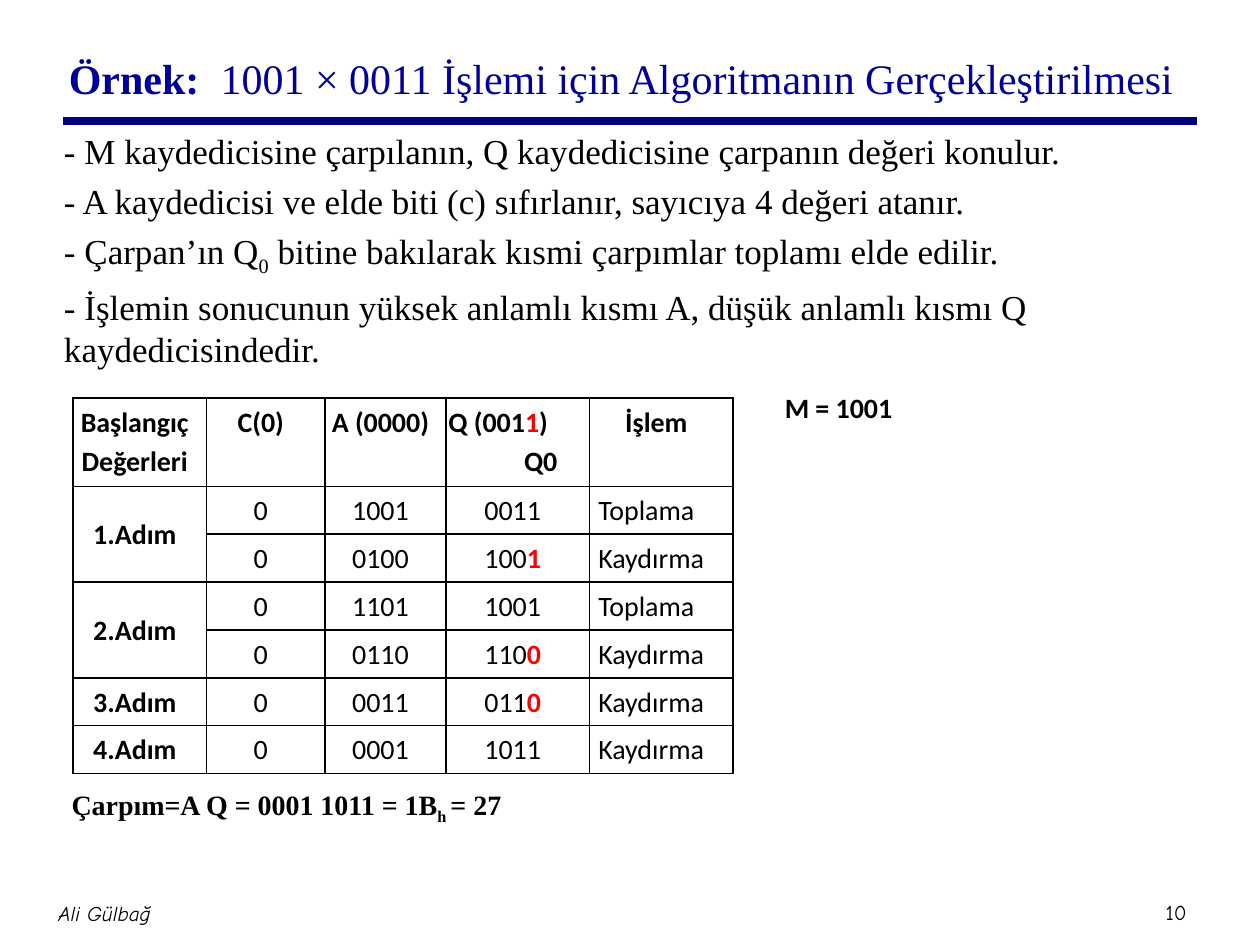
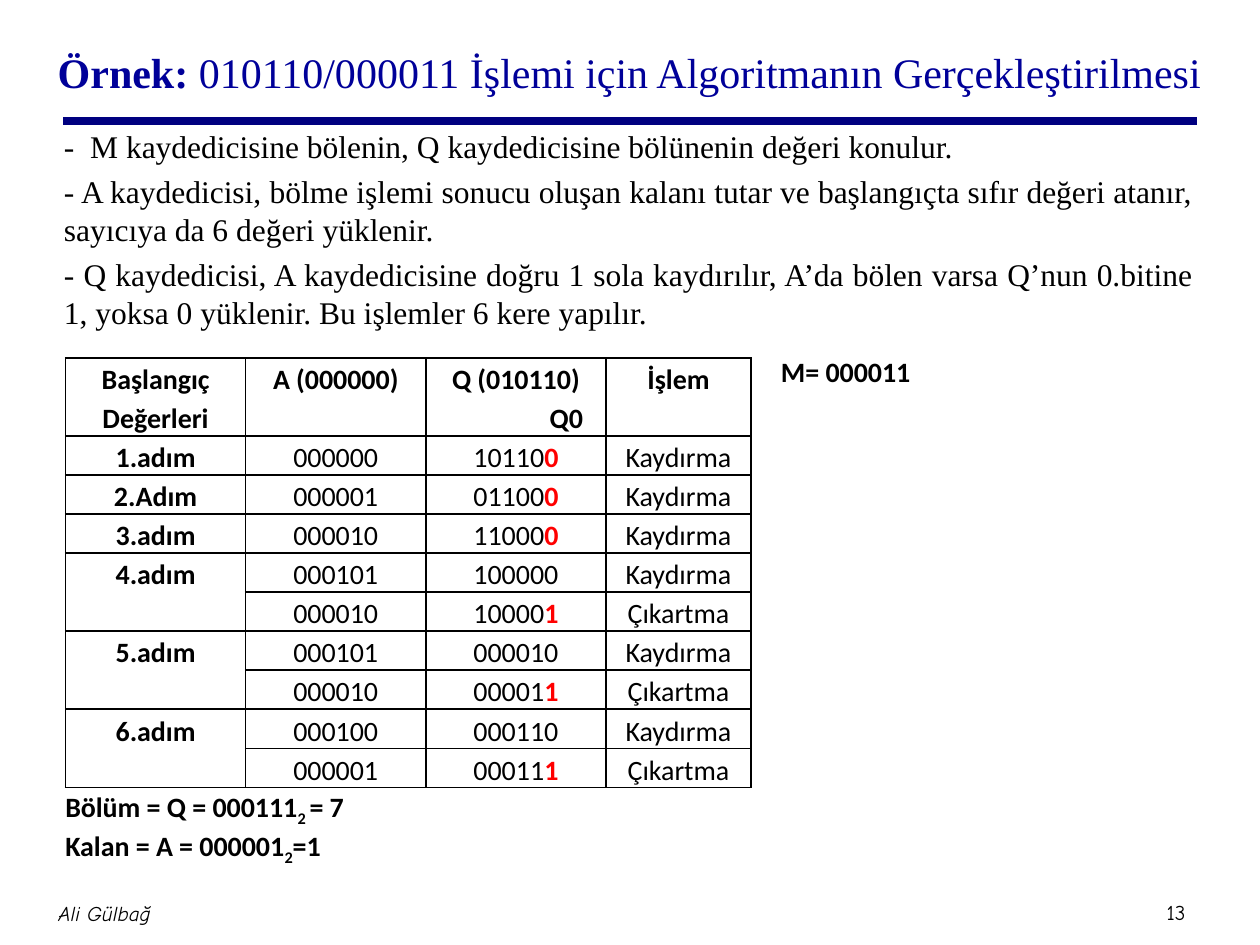
"""Two lecture slides: worked binary multiplication and division examples."""
from dataclasses import dataclass

from pptx import Presentation
from pptx.dml.color import RGBColor
from pptx.enum import shapes, text
from pptx.oxml import parse_xml
from pptx.oxml.ns import nsdecls
from pptx.util import Inches, Pt


@dataclass(frozen=True)
class Theme:
    """Colours, fonts and type sizes shared by the slides."""
    title_color: str = "000099"
    rule_color: str = "000080"
    ink: str = "000000"
    mark: str = "FF0000"
    serif: str = "Times New Roman"
    sans: str = "Calibri"
    footer_font: str = "Comic Neue"
    title_size: int = 24
    table_size: int = 16
    footer_size: int = 12
    rule_width: float = 4.5


THEME = Theme()
LEFT, CENTER, JUSTIFY = (text.PP_ALIGN.LEFT, text.PP_ALIGN.CENTER,
                         text.PP_ALIGN.JUSTIFY)
TOP, MIDDLE = text.MSO_ANCHOR.TOP, text.MSO_ANCHOR.MIDDLE


def write_para(para, content, font, size, color=THEME.ink, mark=None,
               bold=False, italic=False, align=LEFT):
    """Fill a paragraph; *stars* make bold marked spans, _bars_ subscripts."""
    para.alignment = align
    for i, part in enumerate(content.split("*")):
        for j, piece in enumerate(part.split("_")):
            if not piece:
                continue
            span = para.add_run()
            span.text = piece
            if i % 2:
                span.font.bold = True
                span.font.color.rgb = RGBColor.from_string(mark or color)
            if j % 2:
                span._r.get_or_add_rPr().set("baseline", "-25000")
    para.font.name = font
    para.font.size = Pt(size)
    para.font.bold = bold
    para.font.italic = italic
    para.font.color.rgb = RGBColor.from_string(color)


def add_text(page, place, lines, font, size, anchor=TOP, inset=0.1,
             space_before=0, **style):
    """Add a text box at place (left, top, width, height), a paragraph a line."""
    box = page.shapes.add_textbox(*map(Inches, place))
    frame = box.text_frame
    frame.word_wrap = True
    frame.vertical_anchor = anchor
    frame.margin_left = frame.margin_right = Inches(inset)
    for i, line in enumerate(lines):
        para = frame.add_paragraph() if i else frame.paragraphs[0]
        para.space_before = Pt(space_before)
        write_para(para, line, font, size, **style)


def add_frame(page, number):
    """Draw the rule under the title and the footer."""
    rule = page.shapes.add_connector(
        shapes.MSO_CONNECTOR.STRAIGHT,
        Inches(0.5), Inches(0.96), Inches(9.5), Inches(0.96))
    rule.line.color.rgb = RGBColor.from_string(THEME.rule_color)
    rule.line.width = Pt(THEME.rule_width)
    rule._element.spPr.append(parse_xml(f"<a:effectLst {nsdecls('a')}/>"))
    footer = dict(font=THEME.footer_font, size=THEME.footer_size,
                  anchor=MIDDLE, inset=0.05, align=CENTER)
    add_text(page, (9.1, 7.09, 0.47, 0.3), [str(number)], **footer)
    add_text(page, (-0.96, 7, 3.58, 0.5), ["Ali Gülbağ"], italic=True, **footer)


def add_title(page, place, title, align):
    """Write the slide title."""
    add_text(page, place, [title], THEME.serif, THEME.title_size, MIDDLE,
             color=THEME.title_color, align=align)


def add_body(page, place, lines, size, align=LEFT):
    """Write the explanation above the table."""
    add_text(page, place, lines, THEME.serif, size, align=align,
             space_before=round(0.23 * size, 1))


def add_label(page, place, lines, font=THEME.sans, anchor=TOP):
    """Write a bold note beside or below the table."""
    add_text(page, place, lines, font, THEME.table_size, anchor, bold=True)


def set_borders(cell):
    """Give a cell thin lines on all four sides and no fill."""
    props = cell._tc.get_or_add_tcPr()
    for side in ("lnL", "lnR", "lnT", "lnB"):
        props.append(parse_xml(
            f'<a:{side} {nsdecls("a")} w="{Pt(1)}"><a:solidFill>'
            f'<a:srgbClr val="{THEME.ink}"/></a:solidFill></a:{side}>'))
    cell.fill.background()


def write_cell(cell, content, margins, bold, align):
    """Write the lines of one cell with its margins."""
    (cell.margin_left, cell.margin_top,
     cell.margin_right, cell.margin_bottom) = map(Inches, margins)
    for i, line in enumerate(content.split("\n")):
        frame = cell.text_frame
        para = frame.add_paragraph() if i else frame.paragraphs[0]
        para.line_spacing = 1.15
        write_para(para, line, THEME.sans, THEME.table_size,
                   mark=THEME.mark, bold=bold, align=align)


def add_steps(page, origin, widths, heights, rows, margins,
              span_anchor, operation_align, q_align, q0_indent):
    """Add the register table; a row with an empty first cell joins the one above."""
    head_height, row_height = heights
    total = head_height + row_height * (len(rows) - 1)
    table = page.shapes.add_table(
        len(rows), len(widths), *map(Inches, (*origin, sum(widths), total))).table
    table.first_row = table.horz_banding = False
    for column, width in zip(table.columns, widths):
        column.width = Inches(width)
    q_column, last = len(widths) - 2, len(widths) - 1
    for r, row in enumerate(rows):
        table.rows[r].height = Inches(row_height if r else head_height)
        for c, content in enumerate(row):
            cell = table.cell(r, c)
            set_borders(cell)
            align = CENTER
            if r and c == last:
                align = operation_align
            elif not r and c == q_column:
                align = q_align
            if content:
                write_cell(cell, content, margins, not r or not c, align)
            if r and c == last and align == JUSTIFY:
                cell.margin_left = Inches(0.07)
        if not row[0]:
            joined = table.cell(r - 1, 0)
            joined.merge(table.cell(r, 0))
            joined.vertical_anchor = span_anchor
    q0 = table.cell(0, q_column).text_frame.paragraphs[1]
    q0._p.get_or_add_pPr().set("marL", str(Inches(q0_indent)))


def build_multiplication(page):
    """Build the 1001 × 0011 example."""
    add_frame(page, 10)
    add_title(page, (0.25, 0.19, 9.36, 0.86),
              "*Örnek:  *1001 × 0011 İşlemi için Algoritmanın Gerçekleştirilmesi",
              CENTER)
    add_body(page, (0.41, 0.98, 9.16, 2.04), [
        "- M kaydedicisine çarpılanın, Q kaydedicisine çarpanın değeri konulur.",
        "- A kaydedicisi ve elde biti (c) sıfırlanır, sayıcıya 4 değeri atanır.",
        "- Çarpan’ın Q_0_ bitine bakılarak kısmi çarpımlar toplamı elde edilir.",
        "- İşlemin sonucunun yüksek anlamlı kısmı A, düşük anlamlı kısmı Q "
        "kaydedicisindedir.",
    ], 20)
    rows = [
        ("Başlangıç\nDeğerleri", "C(0)", "A (0000)", "Q (001*1*)\nQ0", "İşlem"),
        ("1.Adım", "0", "1001", "0011", "Toplama"),
        ("", "0", "0100", "100*1*", "Kaydırma"),
        ("2.Adım", "0", "1101", "1001", "Toplama"),
        ("", "0", "0110", "110*0*", "Kaydırma"),
        ("3.Adım", "0", "0011", "011*0*", "Kaydırma"),
        ("4.Adım", "0", "0001", "1011", "Kaydırma"),
    ]
    add_steps(page, (0.58, 3.16), (1.06, 0.94, 0.96, 1.14, 1.14), (0.7, 0.38),
              rows, (0.02, 0.02, 0.1, 0.05), MIDDLE, JUSTIFY, LEFT, 0.6)
    add_label(page, (6.13, 3.05, 1.32, 0.37), ["M = 1001"], anchor=MIDDLE)
    add_label(page, (0.47, 6.2, 5, 0.64),
              ["Çarpım=A Q = 0001 1011 = 1B_h _= 27"], THEME.serif)


def build_division(page):
    """Build the 010110/000011 example."""
    add_frame(page, 13)
    add_title(page, (0.36, 0.14, 9.35, 0.86),
              "*Örnek:* 010110/000011 İşlemi için Algoritmanın Gerçekleştirilmesi",
              LEFT)
    add_body(page, (0.41, 0.96, 9.16, 1.99), [
        "-  M kaydedicisine bölenin, Q kaydedicisine bölünenin değeri konulur.",
        "- A kaydedicisi, bölme işlemi sonucu oluşan kalanı tutar ve başlangıçta "
        "sıfır değeri atanır, sayıcıya da 6 değeri yüklenir.",
        "- Q kaydedicisi, A kaydedicisine doğru 1 sola kaydırılır, A’da bölen "
        "varsa Q’nun 0.bitine 1, yoksa 0 yüklenir. Bu işlemler 6 kere yapılır.",
    ], 18, JUSTIFY)
    rows = [
        ("Başlangıç\nDeğerleri", "A (000000)", "Q (010110)\nQ0", "İşlem"),
        ("1.adım", "000000", "10110*0*", "Kaydırma"),
        ("2.Adım", "000001", "01100*0*", "Kaydırma"),
        ("3.adım", "000010", "11000*0*", "Kaydırma"),
        ("4.adım", "000101", "100000", "Kaydırma"),
        ("", "000010", "10000*1*", "Çıkartma"),
        ("5.adım", "000101", "000010", "Kaydırma"),
        ("", "000010", "00001*1*", "Çıkartma"),
        ("6.adım", "000100", "000110", "Kaydırma"),
        ("", "000001", "00011*1*", "Çıkartma"),
    ]
    add_steps(page, (0.52, 2.84), (1.43, 1.43, 1.43, 1.15), (0.62, 0.31),
              rows, (0, 0, 0, 0), TOP, CENTER, CENTER, 0.8)
    add_label(page, (6.1, 2.76, 1.23, 0.37), ["M= 000011"], anchor=MIDDLE)
    add_label(page, (0.42, 6.22, 3.56, 0.91),
              ["Bölüm = Q = 000111_2 _= 7", "Kalan = A = 000001_2_=1"])


def main():
    """Build the deck and save it."""
    deck = Presentation()
    deck.slide_width, deck.slide_height = Inches(10), Inches(7.5)
    for build in (build_multiplication, build_division):
        build(deck.slides.add_slide(deck.slide_layouts[6]))
    deck.save("out.pptx")


main()
